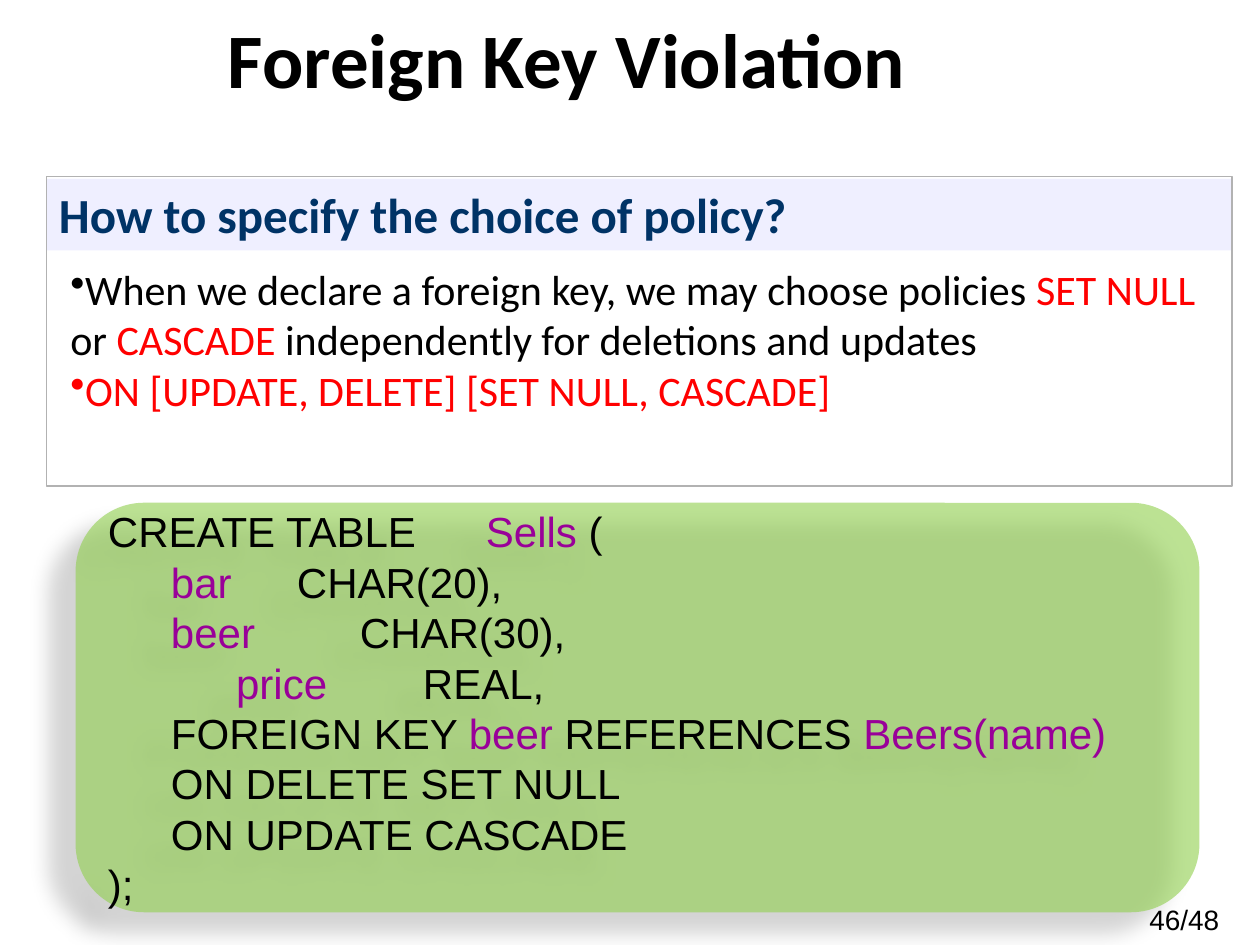
"""Build the Foreign Key Violation slide."""
from lxml.etree import SubElement
from pptx import Presentation
from pptx.dml.color import RGBColor
from pptx.enum.shapes import MSO_SHAPE as SHAPE
from pptx.enum.text import MSO_ANCHOR as ANCHOR, PP_ALIGN as ALIGN
from pptx.oxml import parse_xml
from pptx.oxml.ns import nsdecls, qn
from pptx.util import Pt

BLACK, RED, PURPLE, NAVY = "000000", "FF0000", "990099", "003366"


def rgb(value):
    """Return the colour for a hex string."""
    return RGBColor.from_string(value)


def write(s, lines, font, bullet=False, align=ALIGN.LEFT, **frame):
    """Fill a shape with paragraphs made of (text, colour) runs."""
    tf = s.text_frame
    for name, value in {"word_wrap": True, **frame}.items():
        setattr(tf, name, value)
    for i, line in enumerate(lines):
        p = tf.add_paragraph() if i else tf.paragraphs[0]
        p.alignment = align
        if bullet:
            SubElement(p._p.get_or_add_pPr(), qn("a:buChar"), char="•")
        for text, color in line:
            r = p.add_run()
            r.text = text
            for name, value in font.items():
                setattr(r.font, name, value)
            r.font.color.rgb = rgb(color)


prs = Presentation()
prs.slide_width, prs.slide_height = Pt(720), Pt(540)
slide = prs.slides.add_slide(prs.slide_layouts[6])
shapes = slide.shapes

title = shapes.add_textbox(Pt(0), Pt(6), Pt(648), Pt(54))
write(title, [[("Foreign Key Violation", BLACK)]],
      {"name": "Calibri", "size": Pt(44), "bold": True},
      align=ALIGN.CENTER, vertical_anchor=ANCHOR.MIDDLE)

page = shapes.add_textbox(Pt(637.2), Pt(512), Pt(83.5), Pt(28))
write(page, [[("46/48 ", BLACK)]], {"name": "Arial", "size": Pt(16)}, align=ALIGN.CENTER)

heading = shapes.add_shape(SHAPE.RECTANGLE, Pt(26.6), Pt(102.2), Pt(677.5), Pt(41))
heading.shadow.inherit = False
heading.fill.solid()
heading.fill.fore_color.rgb = rgb("EFEFFF")
heading.line.fill.background()
write(heading, [[("How to specify the choice of policy?", NAVY)]],
      {"name": "Calibri", "size": Pt(28), "bold": True}, vertical_anchor=ANCHOR.TOP)

border = shapes.add_shape(SHAPE.RECTANGLE, Pt(26.6), Pt(100.8), Pt(677.5), Pt(177))
border.shadow.inherit = False
border.fill.background()
border.line.color.rgb = rgb("B2B2B2")
border.line.width = Pt(0.75)

policy = shapes.add_textbox(Pt(33.1), Pt(146.9), Pt(660.2), Pt(123.8))
write(policy, [
    [("When we declare a foreign key, we may choose policies ", BLACK), ("SET NULL", RED),
     (" or ", BLACK), ("CASCADE", RED),
     (" independently for deletions and updates", BLACK)],
    [("ON [UPDATE, DELETE] [SET NULL, CASCADE]", RED)],
], {"name": "Calibri", "size": Pt(24)}, bullet=True)

code = shapes.add_shape(SHAPE.ROUNDED_RECTANGLE, Pt(43.2), Pt(287.3), Pt(642.2), Pt(234))
code.adjustments[0] = 0.167
code.fill.solid()
code.fill.fore_color.rgb = rgb("92D050")
SubElement(code.fill._xPr.find(".//" + qn("a:srgbClr")), qn("a:alpha"), val="61000")
code.line.fill.background()
code._element.spPr.append(parse_xml(
    f'<a:effectLst {nsdecls("a")}><a:outerShdw blurRad="{Pt(11.8)}" dist="{Pt(19.7)}"'
    f' dir="{141 * 60000}" algn="ctr" rotWithShape="0"><a:srgbClr val="{BLACK}">'
    '<a:alpha val="28000"/></a:srgbClr></a:outerShdw></a:effectLst>'))
write(code, [
    [("CREATE TABLE \t", BLACK), ("Sells ", PURPLE), ("(", BLACK)],
    [("\tbar", PURPLE), ("\t\tCHAR(20),", BLACK)],
    [("\tbeer", PURPLE), ("\t\tCHAR(30),", BLACK)],
    [("           price", PURPLE), ("\t\tREAL,", BLACK)],
    [("\tFOREIGN KEY ", BLACK), ("beer", PURPLE), (" REFERENCES ", BLACK),
     ("Beers(name)", PURPLE)],
    [("\tON DELETE SET NULL", BLACK)],
    [("\tON UPDATE CASCADE", BLACK)],
    [(");", BLACK)],
], {"name": "Arial", "size": Pt(24)}, word_wrap=False, vertical_anchor=ANCHOR.MIDDLE)

prs.save("out.pptx")
